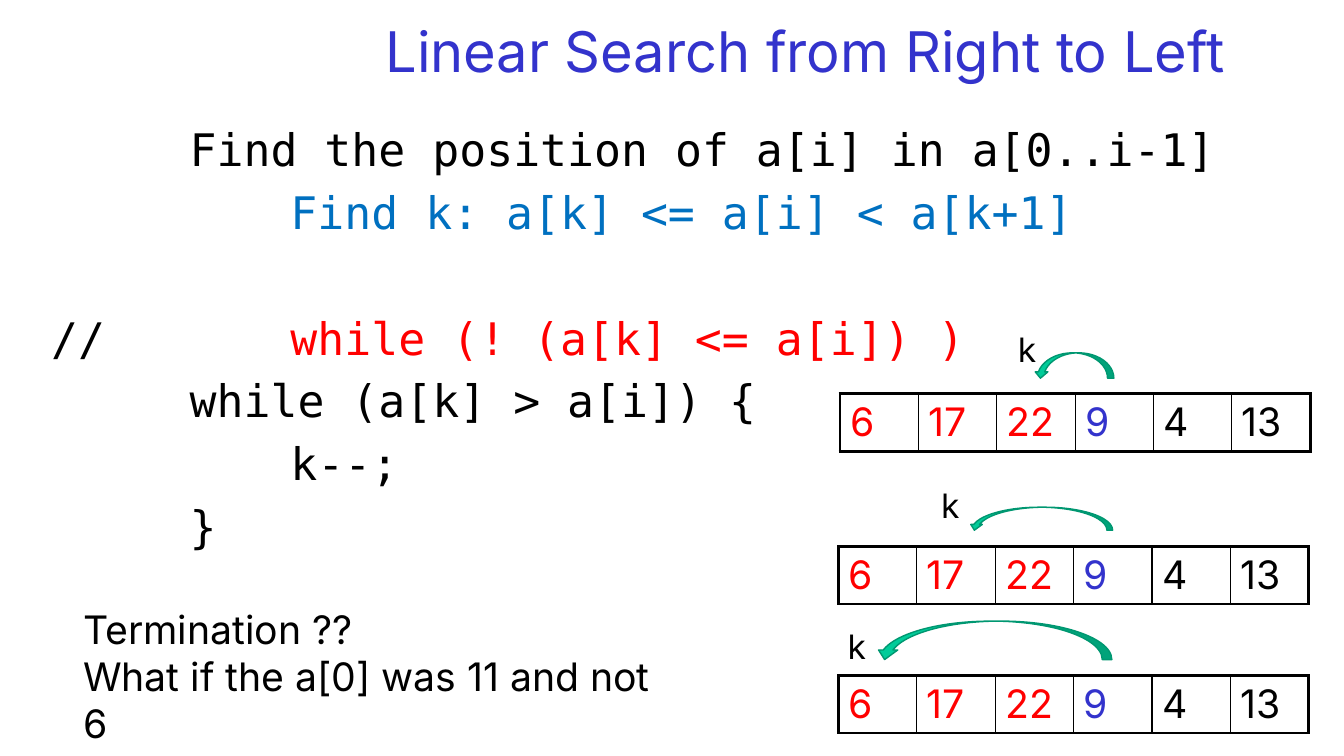
from lxml import etree
from pptx import Presentation
from pptx.dml.color import RGBColor
from pptx.enum import shapes, text
from pptx.oxml import ns
from pptx.util import Cm, Pt

BLACK = RGBColor(0x00, 0x00, 0x00)
RED = RGBColor(0xFF, 0x00, 0x00)
BLUE = RGBColor(0x00, 0x70, 0xC0)
INDIGO = RGBColor(0x33, 0x33, 0xCC)
GREEN = RGBColor(0x00, 0xCC, 0x99)
DARK_GREEN = RGBColor(0x00, 0x97, 0x71)


def set_font(font, size, color, name="Inter"):
    font.size, font.name = Pt(size), name
    font.color.rgb = color


def add_text(box, lines, size, color, wrap=True):
    tf = s.shapes.add_textbox(*[Cm(v) for v in box]).text_frame
    tf.word_wrap = wrap
    tf.text = "\n".join(lines)
    for p in tf.paragraphs:
        set_font(p.font, size, color)
    return tf


prs = Presentation()
prs.slide_width, prs.slide_height = Cm(33.87), Cm(19.05)
s = prs.slides.add_slide(prs.slide_layouts[6])

code = [
    (0, [("\t\tFind the position of a[i] in a[0..i-1]", BLACK)]),
    (6.3, [("\t\t\t", BLACK), ("Find k: a[k] <= a[i] < a[k+1]", BLUE)]),
    (51.5, [("//\t\t", BLACK), ("while (! (a[k] <= a[i]) )", RED)]),
    (6.3, [("\t\twhile (a[k] > a[i]) {", BLACK)]),
    (6.3, [("\t\t\tk--;", BLACK)]),
    (6.3, [("\t\t}", BLACK)]),
]
tf = s.shapes.add_textbox(Cm(1.04), Cm(2.95), Cm(30.58), Cm(14.83)).text_frame
tf.word_wrap = True
for i, (gap, runs) in enumerate(code):
    p = tf.add_paragraph() if i else tf.paragraphs[0]
    p.space_before = Pt(gap)
    pPr = p._p.get_or_add_pPr()
    pPr.set("marL", str(Cm(0.95)))
    pPr.set("indent", str(-Cm(0.95)))
    pPr.set("defTabSz", str(Cm(2.54)))
    set_font(p.font, 32, BLACK, "DejaVu Sans Mono")
    for words, color in runs:
        r = p.add_run()
        r.text = words
        set_font(r.font, 32, color, "DejaVu Sans Mono")

tf = add_text((7.54, 0.42, 25.5, 1.7), ["Linear Search from Right to Left"], 40, INDIGO)
tf.vertical_anchor = text.MSO_ANCHOR.MIDDLE
tf.paragraphs[0].alignment = text.PP_ALIGN.CENTER

numbers = [("6", RED), ("17", RED), ("22", RED), ("9", INDIGO), ("4", BLACK), ("13", BLACK)]
last = len(numbers) - 1
steps = [
    ((21.17, 9.92), (26.06, 8.89, 2.01, 0.64), (25.4, 8.17)),
    ((21.13, 13.77), (24.41, 12.78, 3.63, 0.58), (23.47, 12.09)),
    ((21.13, 17.02), (22.05, 15.65, 5.97, 0.97), (21.11, 15.65)),
]
for (left, top), arrow_box, k_at in steps:
    table = s.shapes.add_table(1, len(numbers), Cm(left), Cm(top), Cm(11.85), Cm(1.45)).table
    table.first_row = table.horz_banding = False
    for i, (number, color) in enumerate(numbers):
        cell = table.cell(0, i)
        cell.text = number
        set_font(cell.text_frame.paragraphs[0].font, 28, color)
        cell.fill.background()
        tcPr = cell._tc.get_or_add_tcPr()
        widths = {"lnL": 1 if i else 2.25, "lnR": 1 if i < last else 2.25, "lnT": 2.25, "lnB": 2.25}
        for at, (side, width) in enumerate(widths.items()):
            ln = etree.Element(ns.qn("a:" + side), w=str(Pt(width)))
            fill = etree.SubElement(ln, ns.qn("a:solidFill"))
            etree.SubElement(fill, ns.qn("a:srgbClr"), val=str(BLACK))
            tcPr.insert(at, ln)

    arrow = s.shapes.add_shape(shapes.MSO_SHAPE.CURVED_UP_ARROW, *[Cm(v) for v in arrow_box])
    arrow.rotation = 180
    arrow.shadow.inherit = False
    arrow.fill.solid()
    arrow.fill.fore_color.rgb = GREEN
    arrow.line.color.rgb = DARK_GREEN
    arrow.line.width = Pt(1)
    add_text((*k_at, 0.94, 1.27), ["k"], 24, BLACK, wrap=False)

add_text((1.85, 15.13, 15.04, 2.64), ["Termination ??", "What if the a[0] was 11 and not 6"], 28, BLACK)

prs.save("out.pptx")
